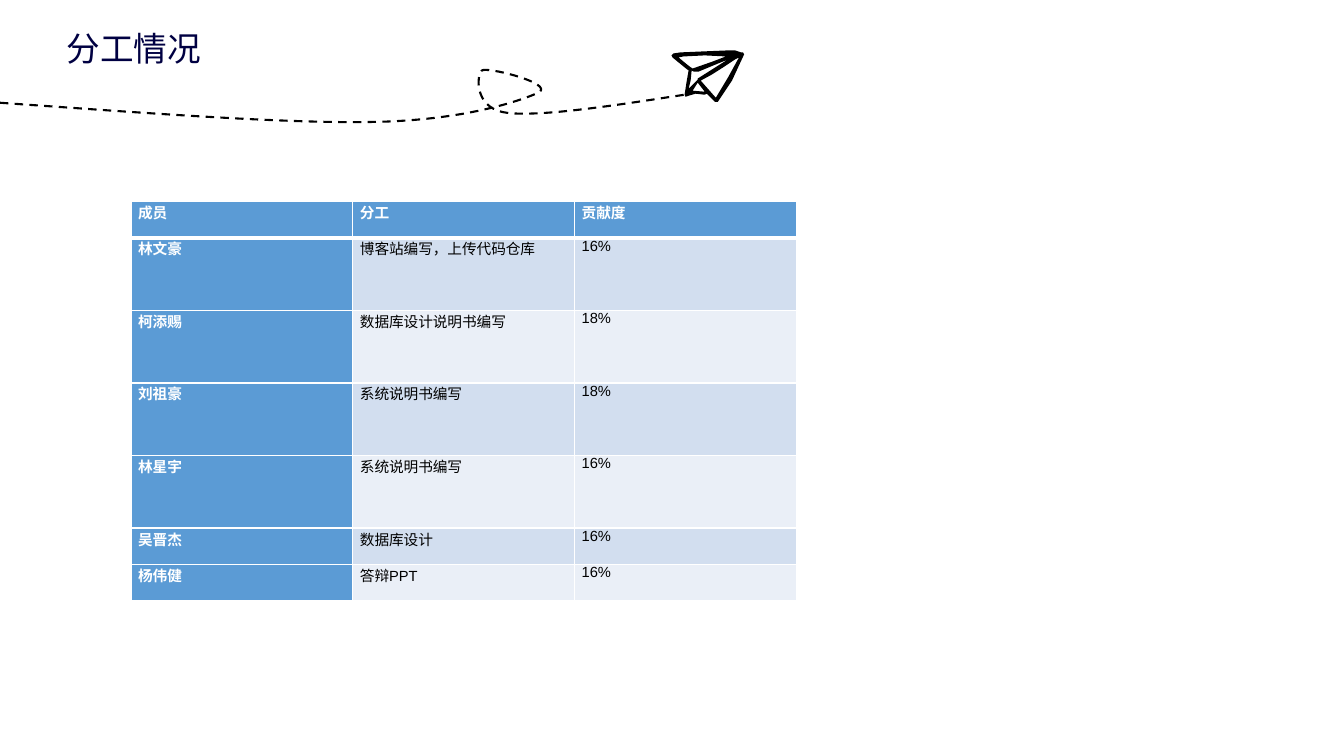
from lxml.etree import SubElement
from pptx import Presentation
from pptx.dml.color import RGBColor
from pptx.enum.dml import MSO_LINE
from pptx.enum.text import MSO_ANCHOR, PP_ALIGN
from pptx.oxml.ns import qn
from pptx.util import Inches, Pt

COLORS = {
    "navy": "000042", "black": "000000", "white": "FFFFFF",
    "blue": "5B9BD5", "band_dark": "D2DEEF", "band_light": "EAEFF7",
}
CJK_FONT = "Noto Sans CJK SC"

prs = Presentation()
prs.slide_width, prs.slide_height = Inches(13.33), Inches(7.5)
slide = prs.slides.add_slide(prs.slide_layouts[5])


def style_run(run, latin, size, color, bold=False):
    run.font.size, run.font.bold, run.font.name = Pt(size), bold, latin
    run.font.color.rgb = RGBColor.from_string(COLORS[color])
    SubElement(run.font._element, qn("a:ea")).set("typeface", CJK_FONT)


def draw_outline(contours, close):
    builder = None
    for contour in contours:
        start, *rest = [(Inches(x), Inches(y)) for x, y in contour]
        if builder is None:
            builder = slide.shapes.build_freeform(*start)
        else:
            builder.move_to(*start)
        builder.add_line_segments(rest, close=close)
    outline = builder.convert_to_shape()
    outline.shadow.inherit = False
    return outline


# Title
title = slide.shapes.title
title.left, title.top, title.width, title.height = [Inches(v) for v in (0.56, 0.23, 4.93, 0.5)]
title.text_frame.text = "分工情况"
title.text_frame.word_wrap = True
title.text_frame.vertical_anchor = MSO_ANCHOR.TOP
title.text_frame.paragraphs[0].alignment = PP_ALIGN.LEFT
style_run(title.text_frame.paragraphs[0].runs[0], CJK_FONT, 24, "navy")

# Dashed flight trail: cubic curves as two control points and an end
trail_curves = [
    ((1.42, 1.12), (2.84, 1.23), (3.73, 1.21)),
    ((4.62, 1.19), (5.16, 1), (5.34, 0.92)),
    ((5.51, 0.83), (4.83, 0.66), (4.78, 0.7)),
    ((4.73, 0.73), (4.69, 1.08), (5.03, 1.12)),
    ((5.36, 1.16), (6.08, 1.05), (6.79, 0.94)),
]
STEPS = 24
trail_points = [(0, 1.02)]
for control_1, control_2, end in trail_curves:
    start = trail_points[-1]
    for step in range(1, STEPS + 1):
        t = step / STEPS
        weights = ((1 - t) ** 3, 3 * t * (1 - t) ** 2, 3 * t * t * (1 - t), t ** 3)
        corners = (start, control_1, control_2, end)
        trail_points.append(tuple(
            sum(w * corner[axis] for w, corner in zip(weights, corners)) for axis in (0, 1)))
trail = draw_outline([trail_points], close=False)
trail.fill.background()
trail.line.color.rgb = RGBColor.from_string(COLORS["black"])
trail.line.width = Pt(1.5)
trail.line.dash_style = MSO_LINE.DASH

# Paper plane: four openings inside the outer edge
plane_contours = [
    [(6.92, 0.82), (6.99, 0.91), (6.87, 0.9)],
    [(7.22, 0.59), (7.14, 0.64), (6.92, 0.78), (6.92, 0.79), (6.83, 0.88), (6.85, 0.8),
     (6.86, 0.7), (6.88, 0.71), (6.93, 0.71), (7.05, 0.66)],
    [(7.2, 0.56), (7.07, 0.61), (6.87, 0.68), (6.84, 0.66), (6.79, 0.62), (6.73, 0.57),
     (6.78, 0.56), (6.99, 0.55)],
    [(7.33, 0.57), (7.22, 0.77), (7.1, 0.97), (6.95, 0.8), (7.06, 0.74), (7.17, 0.67), (7.29, 0.59)],
    [(7.32, 0.51), (7.29, 0.5), (7.22, 0.5), (6.98, 0.51), (6.75, 0.52), (6.68, 0.53),
     (6.66, 0.55), (6.67, 0.57), (6.78, 0.66), (6.83, 0.7), (6.81, 0.81), (6.79, 0.94),
     (6.8, 0.96), (6.83, 0.95), (6.9, 0.93), (6.99, 0.94), (7.01, 0.93), (7.09, 1.01),
     (7.12, 1.01), (7.26, 0.8), (7.38, 0.54), (7.37, 0.52), (7.35, 0.52)],
]
plane = draw_outline(plane_contours, close=True)
plane.fill.solid()
plane.fill.fore_color.rgb = RGBColor.from_string(COLORS["black"])
plane.line.fill.background()

# Table of members, tasks and contributions
members = [
    ("成员", "分工", "贡献度"),
    ("林文豪", "博客站编写，上传代码仓库", "16%"),
    ("柯添赐", "数据库设计说明书编写", "18%"),
    ("刘祖豪", "系统说明书编写", "18%"),
    ("林星宇", "系统说明书编写", "16%"),
    ("吴晋杰", "数据库设计", "16%"),
    ("杨伟健", "答辩PPT", "16%"),
]
row_heights = [0.36] + [0.72] * 4 + [0.36] * 2
division = slide.shapes.add_table(
    len(members), 3, Inches(1.3), Inches(2), Inches(6.6), Inches(sum(row_heights))).table
division.first_col = True
for column in division.columns:
    column.width = Inches(2.2)

for r, (member, height) in enumerate(zip(members, row_heights)):
    division.rows[r].height = Inches(height)
    for c, text in enumerate(member):
        heading = r == 0 or c == 0
        cell = division.cell(r, c)
        cell.margin_left = cell.margin_right = Inches(0.07)
        cell.margin_top = cell.margin_bottom = 0
        cell.text_frame.text = text
        paragraph = cell.text_frame.paragraphs[0]
        paragraph.alignment = PP_ALIGN.JUSTIFY
        style_run(paragraph.runs[0], "Arial", 10.5, "white" if heading else "black", heading)

        # White borders, thick under the header row, placed before the fill
        properties = cell._tc.get_or_add_tcPr()
        for side in ("L", "R", "T", "B"):
            thick = (r, side) in ((0, "B"), (1, "T"))
            border = SubElement(properties, qn(f"a:ln{side}"), w=str(Pt(3 if thick else 1)))
            border_fill = SubElement(border, qn("a:solidFill"))
            SubElement(border_fill, qn("a:srgbClr"), val=COLORS["white"])
        band = "band_dark" if r % 2 else "band_light"
        cell.fill.solid()
        cell.fill.fore_color.rgb = RGBColor.from_string(COLORS["blue" if heading else band])

prs.save("out.pptx")
